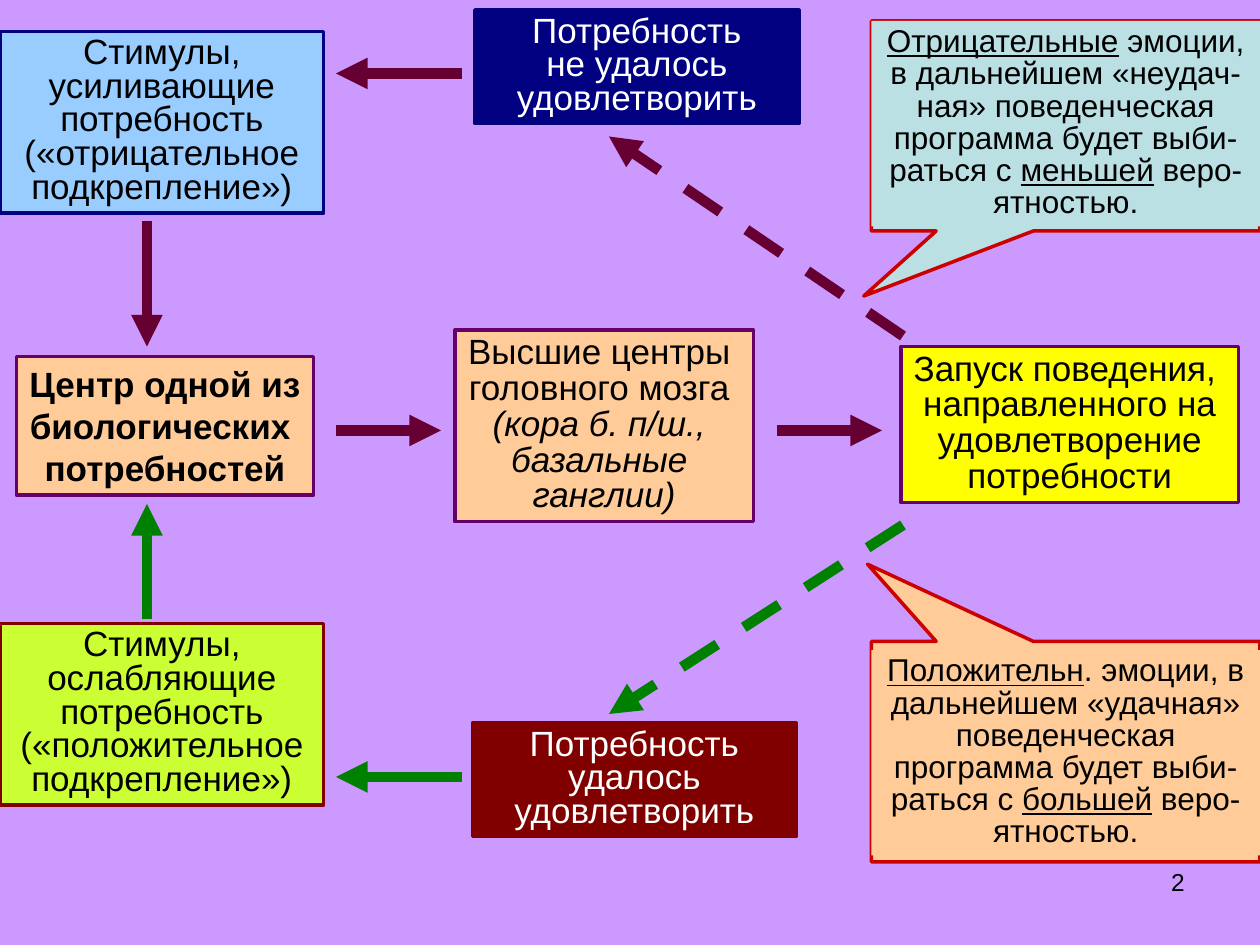
import pptx
import pptx.util
import pptx.dml.color
import pptx.enum.dml
import pptx.enum.shapes
import pptx.enum.text
import pptx.oxml
import pptx.oxml.ns

presentation = pptx.Presentation()
presentation.slide_width = pptx.util.Inches(10)
presentation.slide_height = pptx.util.Inches(7.5)
column = presentation.slide_width / 60
row = presentation.slide_height / 45
slide = presentation.slides.add_slide(presentation.slide_layouts[6])


def colour(value):
    return pptx.dml.color.RGBColor.from_string(value)


def add_box(kind, place, fill, line):
    left, top, width, height = place
    shape = slide.shapes.add_shape(
        kind, int(left * column), int(top * row), int(width * column), int(height * row)
    )
    shape.shadow.inherit = False
    shape.fill.solid()
    shape.fill.fore_color.rgb = colour(fill)
    if line:
        shape.line.color.rgb = colour(line)
        shape.line.width = pptx.util.Pt(2)
    else:
        shape.line.fill.background()
    return shape


slide.background.fill.solid()
slide.background.fill.fore_color.rgb = colour("CC99FF")

number_box = slide.shapes.add_textbox(
    int(43 * column), int(41 * row), int(14 * column), int(3.1 * row)
)
number_box.text_frame.word_wrap = True
paragraph = number_box.text_frame.paragraphs[0]
paragraph.alignment = pptx.enum.text.PP_ALIGN.RIGHT
run = paragraph.add_run()
run.text = "2"
run.font.name = "Arial"
run.font.size = pptx.util.Pt(14)
run.font.color.rgb = colour("000000")

rectangle = pptx.enum.shapes.MSO_SHAPE.RECTANGLE
callout_kind = pptx.enum.shapes.MSO_SHAPE.RECTANGULAR_CALLOUT
for place, fill, tip in [
    ((41.5, 1, 18.5, 10), "BBE0E3", (-0.52, 0.81)),
    ((41.5, 30.54, 18.5, 10.5), "FFCC99", (-0.51, -0.85)),
]:
    callout = add_box(callout_kind, place, fill, "CC0000")
    callout.adjustments[0], callout.adjustments[1] = tip

boxes = [
    ((21.66, 15.72, 14.22, 9.12), "FFCC99", "660066", "000000", 20, 0.85, False, [
        [("Высшие центры ", "")],
        [("головного мозга ", "")],
        [("(кора б. п/ш., ", "i")],
        [("базальные ", "i")],
        [("ганглии)", "i")],
    ]),
    ((42.9, 16.5, 16.08, 7.44), "FFFF00", "660066", "000000", 20, 0.85, True, [
        [("Запуск поведения, ", "")],
        [("направленного на удовлетворение", "")],
        [("потребности", "")],
    ]),
    ((0.78, 16.98, 14.16, 6.6), "FFCC99", "660066", "000000", 20, 1.0, False, [
        [("Центр одной из", "b")],
        [("биологических ", "b")],
        [("потребностей", "b")],
    ]),
    ((0, 1.5, 15.42, 8.64), "99CCFF", "000080", "000000", 20, 0.8, True, [
        [("Стимулы, усиливающие потребность", "")],
        [("(«отрицательное подкрепление»)", "")],
    ]),
    ((0, 29.7, 15.42, 8.64), "CCFF33", "800000", "000000", 20, 0.8, True, [
        [("Стимулы, ослабляющие потребность", "")],
        [("(«положительноеподкрепление»)", "")],
    ]),
    ((22.5, 34.44, 15.42, 5.4), "800000", "800000", "FFFFFF", 20, 0.8, True, [
        [("Потребность", "")],
        [("удалось удовлетворить", "")],
    ]),
    ((22.62, 0.48, 15.42, 5.4), "000080", "000080", "FFFFFF", 20, 0.8, True, [
        [("Потребность", "")],
        [("не удалось удовлетворить", "")],
    ]),
    ((41.5, 1, 18.5, 9.78), "BBE0E3", None, "000000", 18, 0.85, True, [
        [("Отрицательные", "u"), (" эмоции, в дальнейшем «неудач-ная» поведенческая", "")],
        [("программа будет выби-раться с ", ""), ("меньшей", "u"), (" веро-", "")],
        [("ятностью.", "")],
    ]),
    ((41.5, 30.96, 18.5, 9.78), "FFCC99", None, "000000", 18, 0.85, True, [
        [("Положительн", "u"), (". эмоции, в дальнейшем «удачная» поведенческая", "")],
        [("программа будет выби-раться с ", ""), ("большей", "u"), (" веро-", "")],
        [("ятностью.", "")],
    ]),
]
for place, fill, line, ink, size, spacing, wrap, paragraphs in boxes:
    frame = add_box(rectangle, place, fill, line).text_frame
    frame.word_wrap = wrap
    frame.auto_size = pptx.enum.text.MSO_AUTO_SIZE.SHAPE_TO_FIT_TEXT
    frame.vertical_anchor = pptx.enum.text.MSO_ANCHOR.TOP
    for index, runs in enumerate(paragraphs):
        paragraph = frame.add_paragraph() if index else frame.paragraphs[0]
        paragraph.alignment = pptx.enum.text.PP_ALIGN.CENTER
        paragraph.line_spacing = spacing
        for text, style in runs:
            run = paragraph.add_run()
            run.text = text
            run.font.name = "Arial"
            run.font.size = pptx.util.Pt(size)
            run.font.color.rgb = colour(ink)
            run.font.bold = style == "b"
            run.font.italic = style == "i"
            run.font.underline = style == "u"

arrows = [
    ((16, 20.5), (21, 20.5), "660033", False),
    ((37, 20.5), (42, 20.5), "660033", False),
    ((7, 10.5), (7, 16.5), "660033", False),
    ((7, 29.5), (7, 24), "008000", False),
    ((43, 25), (29, 34), "008000", True),
    ((22, 37), (16, 37), "008000", False),
    ((43, 16), (29, 6.5), "660033", True),
    ((22, 3.5), (16, 3.5), "660033", False),
]
for start, end, ink, dashed in arrows:
    arrow = slide.shapes.add_connector(
        pptx.enum.shapes.MSO_CONNECTOR.STRAIGHT,
        int(start[0] * column), int(start[1] * row),
        int(end[0] * column), int(end[1] * row),
    )
    arrow.line.color.rgb = colour(ink)
    arrow.line.width = pptx.util.Pt(6)
    if dashed:
        arrow.line.dash_style = pptx.enum.dml.MSO_LINE.DASH
    properties = arrow._element.spPr
    head = pptx.oxml.parse_xml(
        f'<a:tailEnd {pptx.oxml.ns.nsdecls("a")} type="triangle"/>'
    )
    properties.find(pptx.oxml.ns.qn("a:ln")).append(head)
    properties.append(
        pptx.oxml.parse_xml(f'<a:effectLst {pptx.oxml.ns.nsdecls("a")}/>')
    )

presentation.save("out.pptx")
